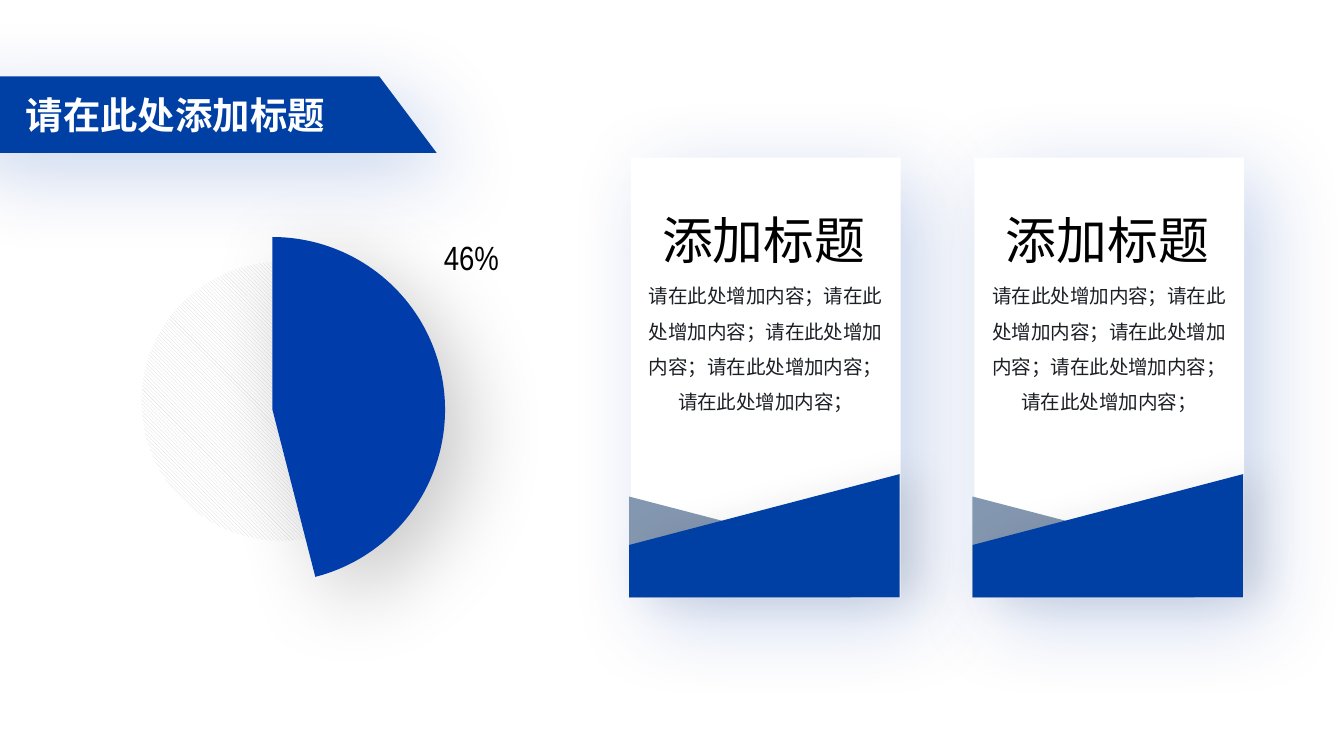
import pptx
import pptx.util
import pptx.dml.color
import pptx.enum.dml
import pptx.enum.shapes
import pptx.enum.text
import pptx.oxml
import pptx.oxml.ns
import lxml.etree

Pt = pptx.util.Pt
SHAPES = pptx.enum.shapes.MSO_SHAPE
ANCHOR = pptx.enum.text.MSO_ANCHOR
qn = pptx.oxml.ns.qn
rgb = pptx.dml.color.RGBColor.from_string

BLUE, PIE_BLUE, GREY_BLUE, WHITE = "0040A5", "003DAB", "8497B0", "FFFFFF"
CJK = "Noto Sans CJK SC"
# colour, opacity in percent, blur, distance, angle
BLUE_SHADOW = (PIE_BLUE, 22, 46, 16, 45)
BLACK_SHADOW = ("000000", 22, 46, 16, 45)
WEDGE_SHADOW = ("262626", 10, 20, 10, 0)


def paint(shape, color, shadow=None):
    """Give a shape a plain fill, no outline and an optional soft shadow."""
    shape.shadow.inherit = False
    shape.line.fill.background()
    shape.fill.solid()
    shape.fill.fore_color.rgb = rgb(color)
    if shadow:
        shade, opacity, blur, distance, angle = shadow
        effects = shape._element.spPr.find(qn("a:effectLst"))
        outer = lxml.etree.SubElement(
            effects, qn("a:outerShdw"), blurRad=str(Pt(blur)), dist=str(Pt(distance)),
            dir=str(angle * 60000), algn="ctr", rotWithShape="0")
        tint = lxml.etree.SubElement(outer, qn("a:srgbClr"), val=shade)
        lxml.etree.SubElement(tint, qn("a:alpha"), val=str(opacity * 1000))


def write(shape, text, color, font_format, wrap=True, anchor=ANCHOR.TOP, spacing=1.0):
    """Put one centred paragraph into a shape without insets."""
    frame = shape.text_frame
    frame_format = {"word_wrap": wrap, "vertical_anchor": anchor, "margin_left": 0,
                    "margin_top": 0, "margin_right": 0, "margin_bottom": 0,
                    "auto_size": pptx.enum.text.MSO_AUTO_SIZE.NONE}
    for name, value in frame_format.items():
        setattr(frame, name, value)
    paragraph = frame.paragraphs[0]
    paragraph.alignment = pptx.enum.text.PP_ALIGN.CENTER
    paragraph.line_spacing = spacing
    run = paragraph.add_run()
    run.text = text
    for name, value in font_format.items():
        setattr(run.font, name, value)
    run.font.color.rgb = rgb(color)
    east_asian = lxml.etree.Element(qn("a:ea"), typeface=font_format["name"])
    run.font._element.find(qn("a:latin")).addnext(east_asian)


presentation = pptx.Presentation()
presentation.slide_width, presentation.slide_height = Pt(720), Pt(405)
slide = presentation.slides.add_slide(presentation.slide_layouts[5])
shapes = slide.shapes

# Title banner
banner = shapes.add_shape(SHAPES.PARALLELOGRAM, Pt(-46), Pt(41), Pt(280), Pt(41))
banner.adjustments[0] = 0.75
banner._element.spPr.xfrm.set("flipH", "1")
paint(banner, BLUE, BLUE_SHADOW)
title = shapes.title
title.left, title.top, title.width, title.height = Pt(0), Pt(41), Pt(188), Pt(41)
write(title, "请在此处添加标题", WHITE, {"name": CJK, "size": Pt(20), "bold": True},
      wrap=False, anchor=ANCHOR.MIDDLE)
banner._element.addnext(title._element)

# Share of the whole
whole = shapes.add_shape(SHAPES.OVAL, Pt(73.5), Pt(138), Pt(154), Pt(154))
whole.shadow.inherit = False
whole.fill.patterned()
whole.fill.pattern = pptx.enum.dml.MSO_PATTERN.DARK_DOWNWARD_DIAGONAL
whole.fill.fore_color.rgb = rgb("D9D9D9")
whole.fill.back_color.rgb = rgb(WHITE)
whole.line.color.rgb = rgb(WHITE)
whole.line.width = Pt(4.5)

share = shapes.add_shape(SHAPES.PIE, Pt(53.5), Pt(127), Pt(185), Pt(185))
# Adjustments count 60000ths of a degree in units of 100000
share.adjustments[0] = 270 * 0.6
share.adjustments[1] = 75.6 * 0.6
paint(share, PIE_BLUE, BLACK_SHADOW)

share_label = shapes.add_textbox(Pt(228), Pt(127), Pt(49), Pt(37))
write(share_label, "46%", "000000", {"name": "Arial Narrow", "size": Pt(18)}, wrap=False)

# Cards
card_width, card_top, card_bottom = 144.5, 84.5, 320.5
for card_left in (338, 522):
    card = shapes.add_shape(SHAPES.RECTANGLE, Pt(card_left), Pt(card_top),
                            Pt(card_width), Pt(card_bottom - card_top))
    paint(card, WHITE, BLUE_SHADOW)

    left = card_left - 0.75
    right = left + card_width
    back_right = left + 119
    wedges = [
        ([(left, 266), (back_right, 297), (back_right, card_bottom), (left, card_bottom)],
         GREY_BLUE, None),
        ([(right, 254.5), (left, 291.5), (left, card_bottom), (right, card_bottom)],
         BLUE, WEDGE_SHADOW),
    ]
    for points, color, shadow in wedges:
        builder = shapes.build_freeform(*points[0], scale=Pt(1))
        builder.add_line_segments(points[1:], close=True)
        paint(builder.convert_to_shape(), color, shadow)

    heading = shapes.add_textbox(Pt(card_left + 7.5), Pt(110), Pt(127.5), Pt(36))
    write(heading, "添加标题", "000000", {"name": CJK, "size": Pt(27.2)},
          wrap=False, anchor=ANCHOR.MIDDLE)
    body = shapes.add_textbox(Pt(card_left + 8.5), Pt(146), Pt(127.5), Pt(76))
    write(body, "请在此处增加内容；" * 5, "1C1F25", {"name": CJK, "size": Pt(10.5)},
          spacing=1.5)

presentation.save("out.pptx")
